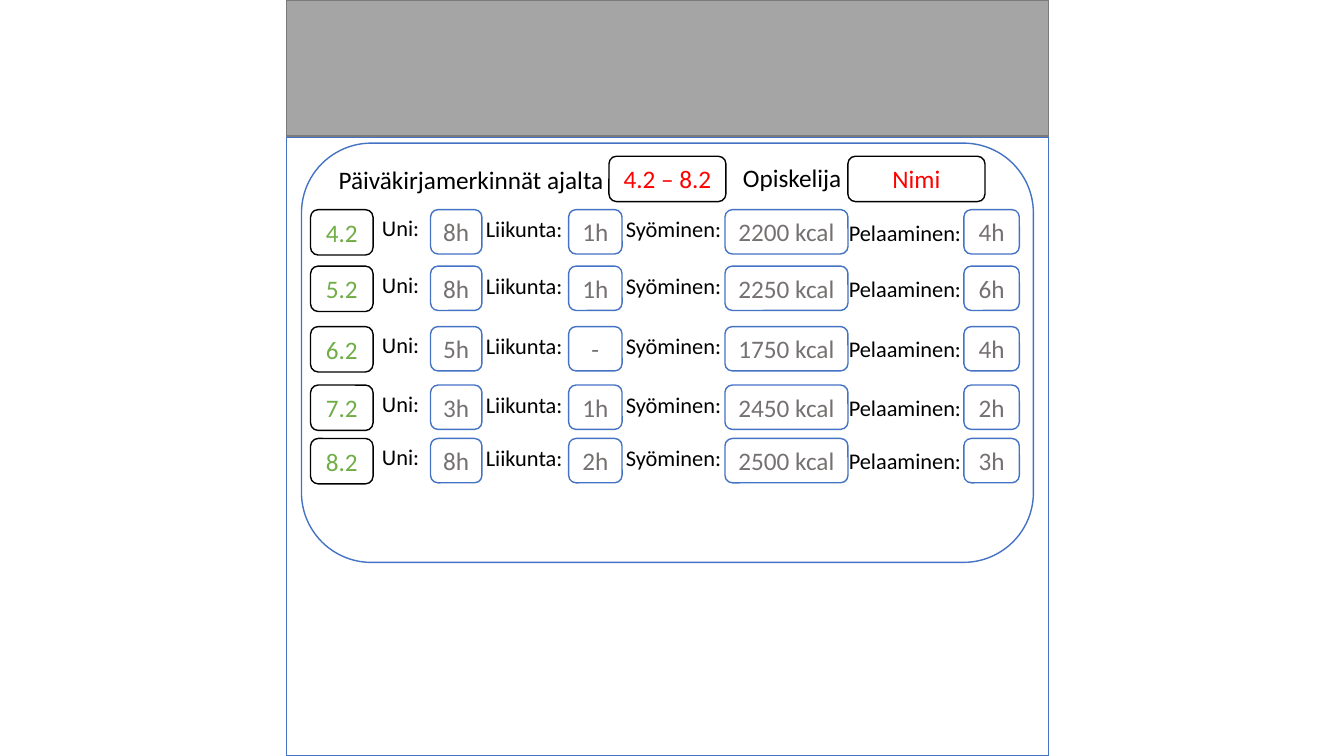
from dataclasses import dataclass

from pptx import Presentation
from pptx.dml.color import RGBColor
from pptx.enum.shapes import MSO_SHAPE
from pptx.enum.text import MSO_ANCHOR, MSO_AUTO_SIZE, PP_ALIGN
from pptx.util import Inches, Pt

RECT = MSO_SHAPE.RECTANGLE
ROUNDED = MSO_SHAPE.ROUNDED_RECTANGLE
MIDDLE = MSO_ANCHOR.MIDDLE
CENTER = PP_ALIGN.CENTER
FIT_SHAPE = MSO_AUTO_SIZE.SHAPE_TO_FIT_TEXT


@dataclass(frozen=True)
class Theme:
    font: str = "Calibri"
    large: int = 18
    small: int = 16
    white: str = "FFFFFF"
    black: str = "000000"
    blue: str = "4472C4"
    grey: str = "A5A5A5"
    grey_line: str = "7A7A7A"
    value: str = "767171"
    day: str = "70AD47"
    accent: str = "FF0000"


@dataclass(frozen=True)
class Field:
    """A label and its value box; label_dy is measured from the row top."""
    label: str
    label_left: float
    label_width: float
    label_dy: float
    box_left: float
    box_width: float


@dataclass(frozen=True)
class DiaryDay:
    date: str
    top: float
    values: tuple[str, ...]


T = Theme()

FIELDS = (
    Field("Uni:", 3.69, 0.57, 0, 4.27, 0.51),
    Field("Liikunta:", 4.72, 0.97, 0.01, 5.64, 0.53),
    Field("Syöminen:", 6.11, 1.16, 0.01, 7.19, 1.22),
    Field("Pelaaminen:", 8.32, 1.33, 0.04, 9.56, 0.55),
)

DAYS = (
    DiaryDay("4.2", 2.08, ("8h", "1h", "2200 kcal", "4h")),
    DiaryDay("5.2", 2.64, ("8h", "1h", "2250 kcal", "6h")),
    DiaryDay("6.2", 3.24, ("5h", "-", "1750 kcal", "4h")),
    DiaryDay("7.2", 3.82, ("3h", "1h", "2450 kcal", "2h")),
    DiaryDay("8.2", 4.35, ("8h", "2h", "2500 kcal", "3h")),
)


def set_text(s, text: str, size: int, color: str) -> None:
    p = s.text_frame.paragraphs[0]
    p.text = text
    p.font.name = T.font
    p.font.size = Pt(size)
    p.font.color.rgb = RGBColor.from_string(color)


def add_panel(sp, kind, left: float, top: float, width: float, height: float,
              fill: str = T.white, line: str = T.blue):
    s = sp.add_shape(kind, Inches(left), Inches(top), Inches(width), Inches(height))
    s.shadow.inherit = False
    s.fill.solid()
    s.fill.fore_color.rgb = RGBColor.from_string(fill)
    s.line.color.rgb = RGBColor.from_string(line)
    s.line.width = Pt(1)
    return s


def add_box(sp, text: str, left: float, top: float, width: float, height: float,
            line: str, color: str) -> None:
    s = add_panel(sp, ROUNDED, left, top, width, height, line=line)
    s.text_frame.word_wrap = True
    s.text_frame.vertical_anchor = MIDDLE
    set_text(s, text, T.large, color)
    s.text_frame.paragraphs[0].alignment = CENTER


def add_label(sp, text: str, left: float, top: float, width: float, height: float,
              size: int, wrap: bool) -> None:
    s = sp.add_textbox(Inches(left), Inches(top), Inches(width), Inches(height))
    s.text_frame.word_wrap = wrap
    s.text_frame.auto_size = FIT_SHAPE
    set_text(s, text, size, T.black)


def add_day(sp, day: DiaryDay) -> None:
    for field, value in zip(FIELDS, day.values):
        add_box(sp, value, field.box_left, day.top, field.box_width, 0.44,
                T.blue, T.value)
        add_label(sp, field.label, field.label_left, day.top + field.label_dy,
                  field.label_width, 0.37, T.small, True)
    add_box(sp, day.date, 3.08, day.top, 0.62, 0.45, T.black, T.day)


def main() -> None:
    prs = Presentation()
    prs.slide_width, prs.slide_height = Inches(13.33), Inches(7.5)
    sp = prs.slides.add_slide(prs.slide_layouts[6]).shapes

    # Page, banner and diary frame
    add_panel(sp, RECT, 2.84, 1.36, 7.56, 6.14)
    add_panel(sp, RECT, 2.84, 0, 7.56, 1.35, T.grey, T.grey_line)
    add_panel(sp, ROUNDED, 2.99, 1.42, 7.26, 4.16)

    # Heading: period and student
    add_label(sp, "Päiväkirjamerkinnät ajalta", 3.26, 1.58, 2.85, 0.4, T.large, False)
    add_box(sp, "4.2 – 8.2", 6.04, 1.55, 1.16, 0.45, T.black, T.accent)
    add_label(sp, "Opiskelija", 7.27, 1.56, 1.19, 0.4, T.large, False)
    add_box(sp, "Nimi", 8.41, 1.55, 1.36, 0.45, T.black, T.accent)

    # Diary rows
    for day in DAYS:
        add_day(sp, day)

    prs.save("out.pptx")


if __name__ == "__main__":
    main()
